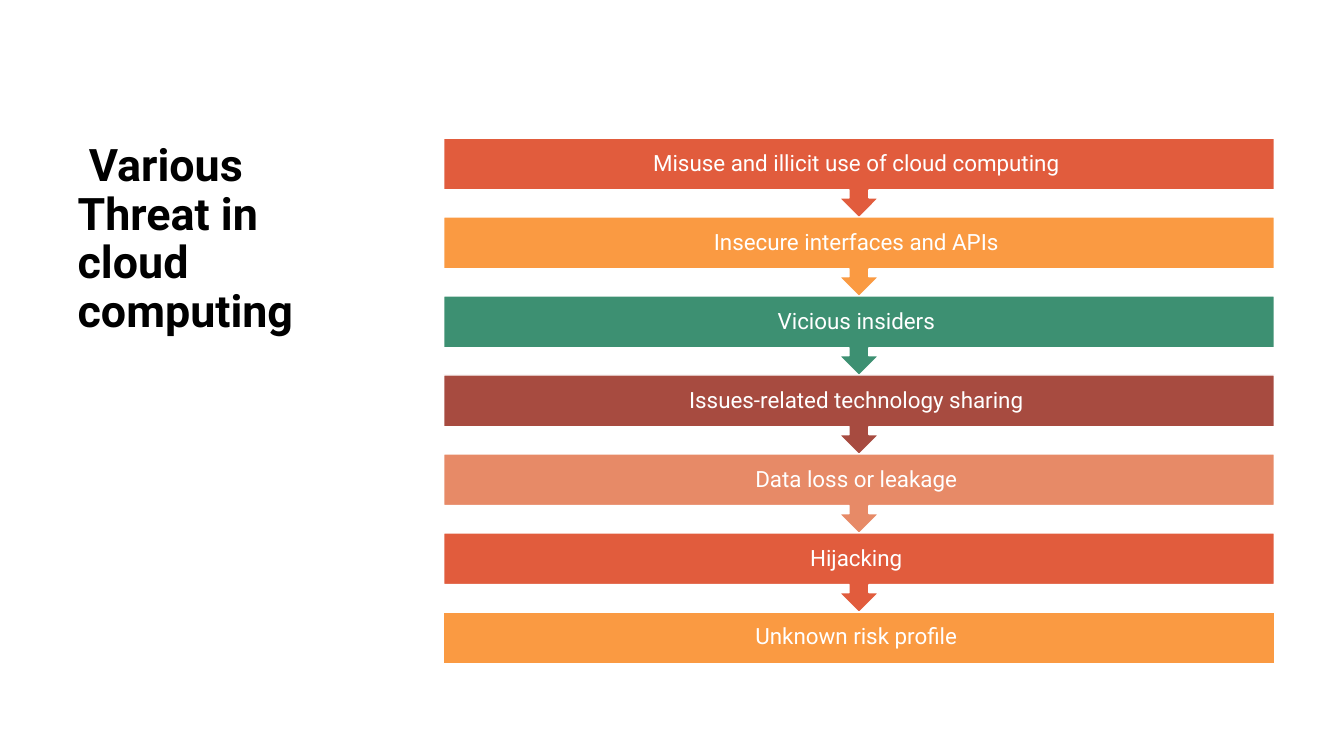
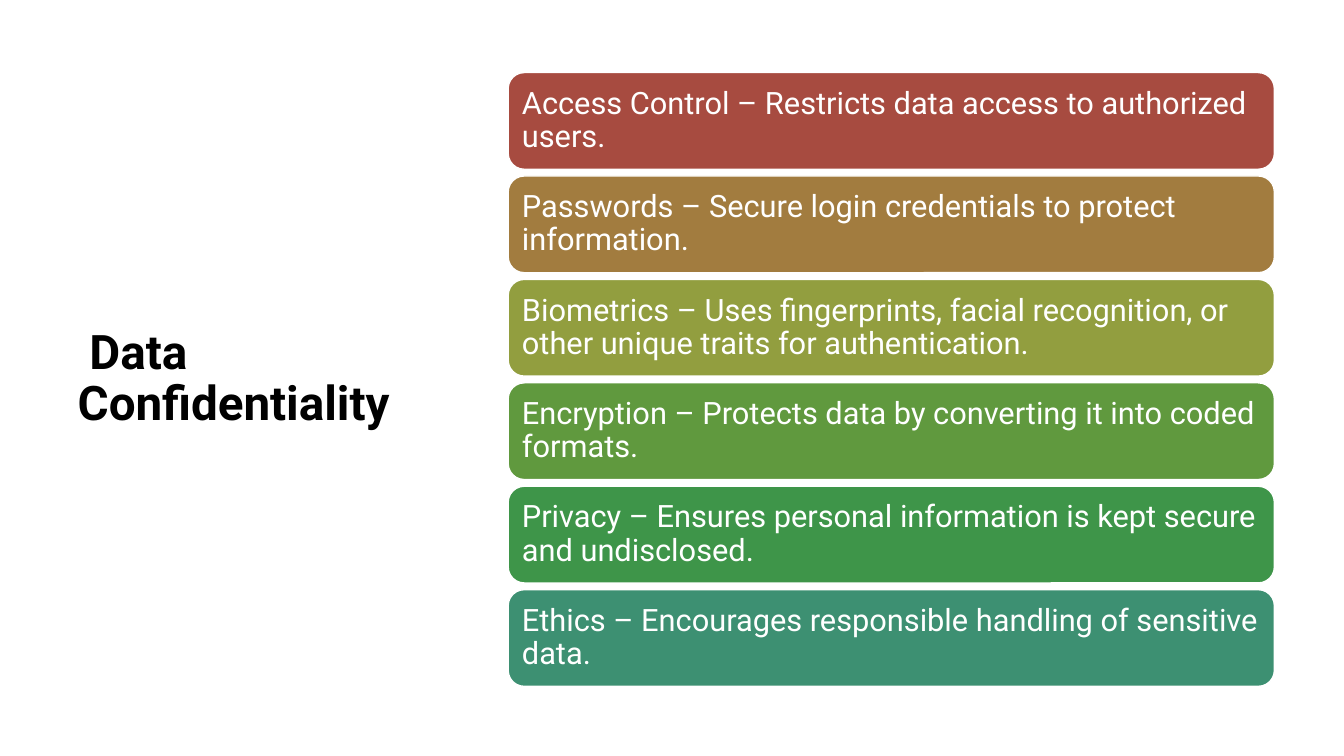
"""Build two slides: a chain of cloud threats and a list of confidentiality measures."""
from pptx import Presentation
from pptx.dml.color import RGBColor
from pptx.enum import shapes, text
from pptx.util import Emu, Pt

PX = 9144
FONT = "Roboto"
WHITE = RGBColor(0xFF, 0xFF, 0xFF)
BLACK = RGBColor(0x00, 0x00, 0x00)
RED = RGBColor(0xE1, 0x5C, 0x3D)
ORANGE = RGBColor(0xFA, 0x9A, 0x42)
TEAL = RGBColor(0x3D, 0x90, 0x72)
BRICK = RGBColor(0xA7, 0x4B, 0x40)
SALMON = RGBColor(0xE7, 0x8A, 0x67)
OCHRE = RGBColor(0xA2, 0x7C, 0x3F)
OLIVE = RGBColor(0x92, 0x9E, 0x3F)
LEAF = RGBColor(0x60, 0x99, 0x3E)
GREEN = RGBColor(0x3E, 0x95, 0x49)

THREATS = [
    ("Misuse and illicit use of cloud computing ", RED),
    ("Insecure interfaces and APIs ", ORANGE),
    ("Vicious insiders ", TEAL),
    ("Issues-related technology sharing ", BRICK),
    ("Data loss or leakage ", SALMON),
    ("Hijacking ", RED),
    ("Unknown risk profile ", ORANGE),
]
MEASURES = [
    ("Access Control – Restricts data access to authorized users.", BRICK),
    ("Passwords – Secure login credentials to protect information.", OCHRE),
    ("Biometrics – Uses fingerprints, facial recognition, or other unique traits "
     "for authentication.", OLIVE),
    ("Encryption – Protects data by converting it into coded formats.", LEAF),
    ("Privacy – Ensures personal information is kept secure and undisclosed.", GREEN),
    ("Ethics – Encourages responsible handling of sensitive data.", TEAL),
]


def px(*lengths):
    return [Emu(round(length * PX)) for length in lengths]


def write(frame, words, size, color, align, anchor, bold=False):
    frame.word_wrap = True
    frame.auto_size = text.MSO_AUTO_SIZE.NONE
    frame.vertical_anchor = anchor
    para = frame.paragraphs[0]
    para.text = words
    para.alignment = align
    para.line_spacing = 0.9
    para.font.name = FONT
    para.font.size = Pt(size)
    para.font.bold = bold
    para.font.color.rgb = color


def add_page(deck, title, place, size, anchor):
    page = deck.slides.add_slide(deck.slide_layouts[5])
    box = page.shapes.title
    box.left, box.top, box.width, box.height = px(*place)
    write(box.text_frame, title, size, BLACK, text.PP_ALIGN.LEFT, anchor, bold=True)
    return page


def add_bar(page, kind, place, words, fill, size, align, inset):
    bar = page.shapes.add_shape(kind, *px(*place))
    bar.shadow.inherit = False
    bar.fill.solid()
    bar.fill.fore_color.rgb = fill
    bar.line.color.rgb = WHITE
    bar.line.width = Pt(1)
    frame = bar.text_frame
    frame.margin_left, frame.margin_top, frame.margin_right, frame.margin_bottom = px(*[inset] * 4)
    write(frame, words, size, WHITE, align, text.MSO_ANCHOR.MIDDLE)


def spread(first, last, count):
    return [first + index * (last - first) / (count - 1) for index in range(count)]


def build_threats(deck):
    page = add_page(deck, " Various Threat in cloud computing", (67, 137, 318, 522), 32,
                    text.MSO_ANCHOR.TOP)
    last = len(THREATS) - 1
    tops = spread(137, 607, len(THREATS))
    for index, ((words, fill), top) in enumerate(zip(THREATS, tops)):
        kind, height = shapes.MSO_SHAPE.DOWN_ARROW_CALLOUT, 79
        if index == last:
            kind, height = shapes.MSO_SHAPE.RECTANGLE, 51
        add_bar(page, kind, (440, top, 824, height), words, fill, 16, text.PP_ALIGN.CENTER, 12)


def build_measures(deck):
    page = add_page(deck, " Data Confidentiality", (67, 60, 382, 633), 34,
                    text.MSO_ANCHOR.MIDDLE)
    for (words, fill), top in zip(MEASURES, spread(72, 585, len(MEASURES))):
        add_bar(page, shapes.MSO_SHAPE.ROUNDED_RECTANGLE, (504, top, 760, 96), words, fill, 22,
                text.PP_ALIGN.LEFT, 9)


def main():
    deck = Presentation()
    deck.slide_width, deck.slide_height = px(1333, 750)
    build_threats(deck)
    build_measures(deck)
    deck.save("out.pptx")


if __name__ == "__main__":
    main()
